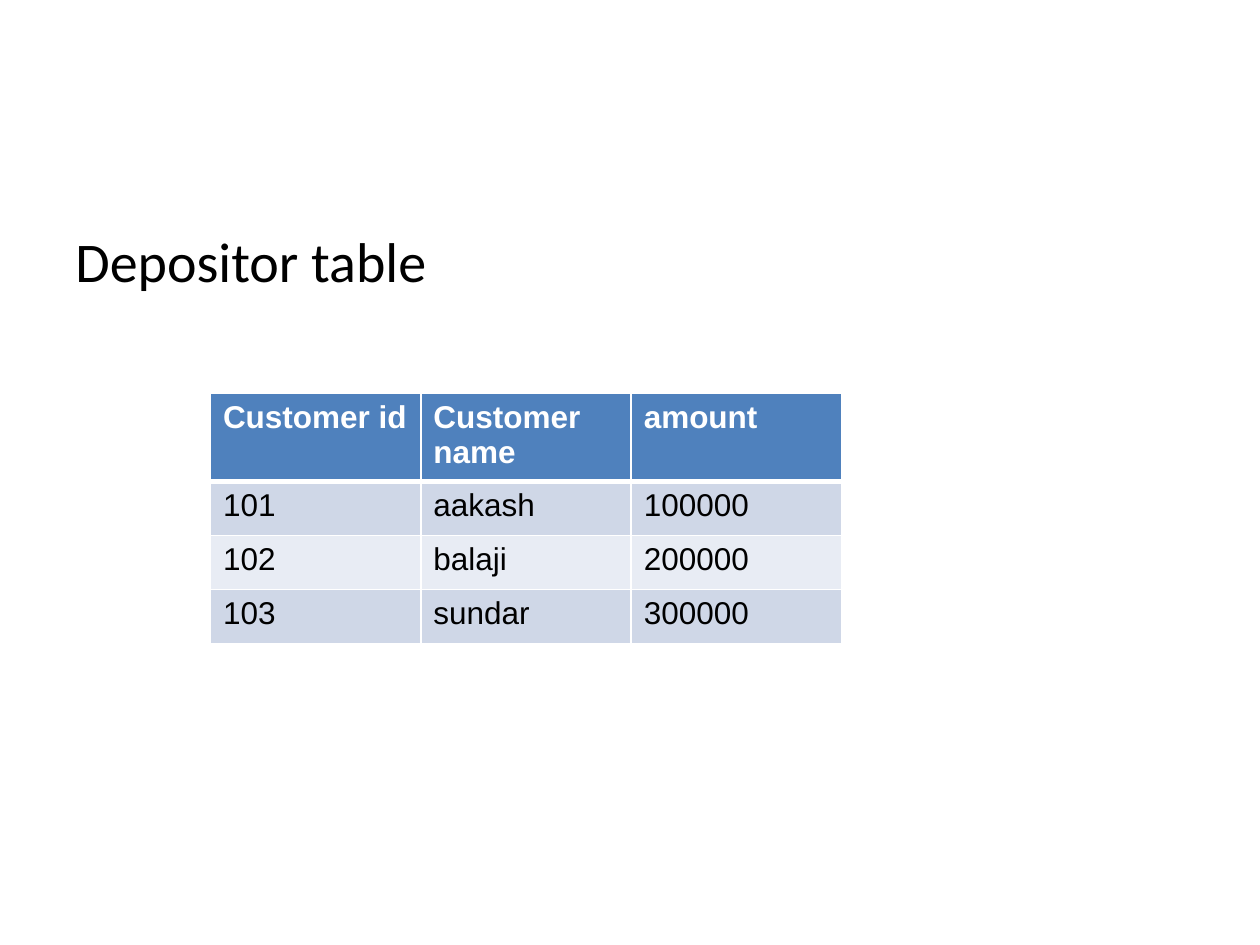
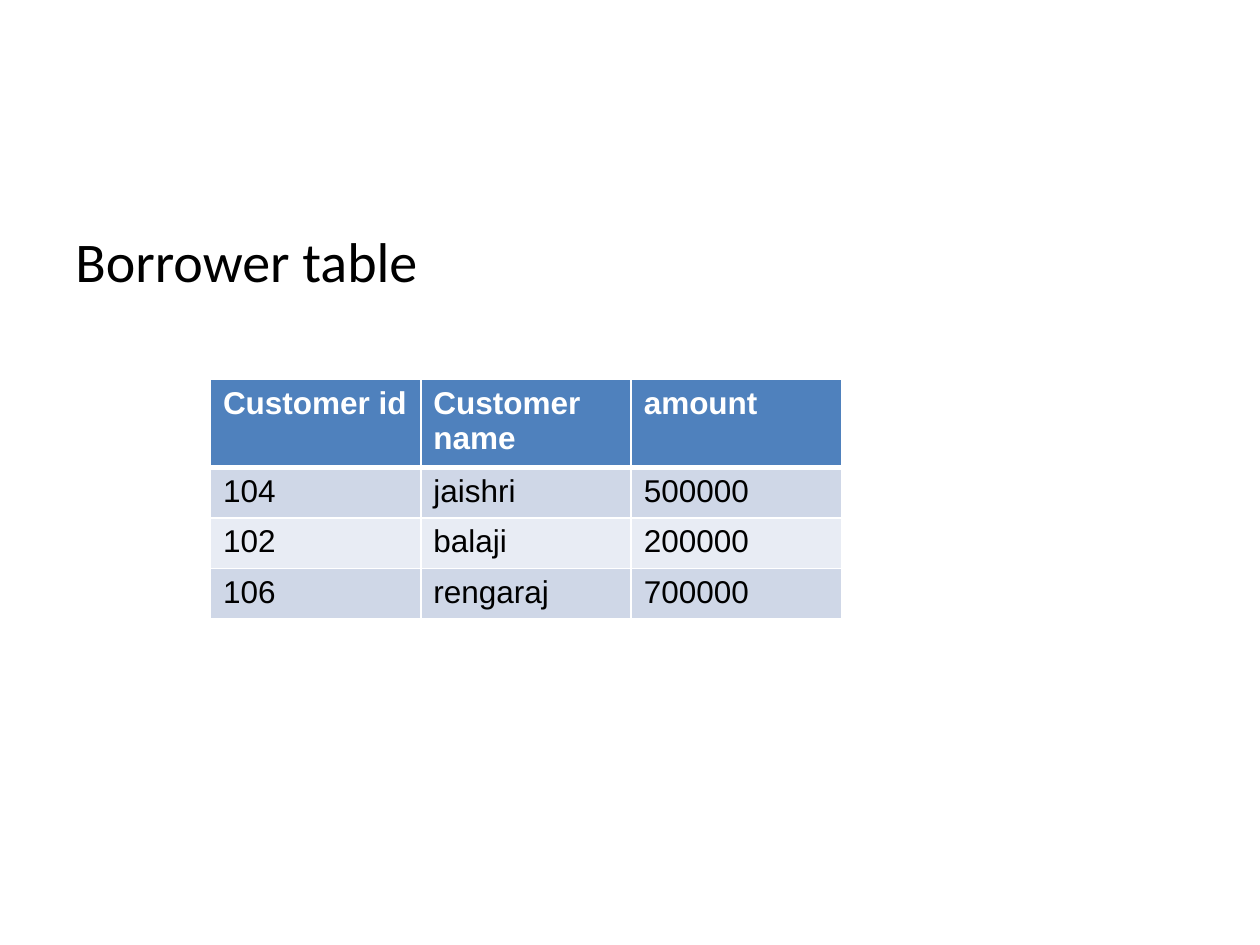
from lxml import etree
from pptx import Presentation
from pptx.dml.color import RGBColor
from pptx.oxml.ns import qn
from pptx.util import Inches, Pt

HEADER = ("Customer id", "Customer name", "amount")
SLIDES = [
    {
        "title": "Depositor table",
        "top": 3.12,
        "row_height": 0.43,
        "rows": [
            ("101", "aakash", "100000"),
            ("102", "balaji", "200000"),
            ("103", "sundar", "300000"),
        ],
    },
    {
        "title": "Borrower table",
        "top": 3.01,
        "row_height": 0.37,
        "rows": [
            ("104", "jaishri", "500000"),
            ("102", "balaji", "200000"),
            ("106", "rengaraj", "700000"),
        ],
    },
]

COLORS = {
    "text": "000000",
    "header": "4F81BD",
    "header_text": "FFFFFF",
    "band_odd": "CFD7E7",
    "band_even": "E8ECF4",
    "border": "FFFFFF",
}
TITLE_FONT, TABLE_FONT = "Calibri", "Arial"
TABLE_LEFT, COL_WIDTH = 1.67, 1.67
THIN, THICK = 1, 3


def style_font(font, name, size, color, bold=False):
    font.name = name
    font.size = Pt(size)
    font.bold = bold
    font.color.rgb = RGBColor.from_string(COLORS[color])


def add_title(s, title):
    tf = s.shapes.add_textbox(Inches(0.5), Inches(1.75), Inches(9), Inches(4.95)).text_frame
    tf.word_wrap = True
    tf.text = title
    p = tf.paragraphs[0]
    pPr = p._p.get_or_add_pPr()
    pPr.set("marL", str(Inches(0.38)))
    pPr.set("indent", str(Inches(-0.38)))
    style_font(p.runs[0].font, TITLE_FONT, 32, "text")


def set_borders(cell, top, bottom):
    tcPr = cell._tc.get_or_add_tcPr()
    widths = {"a:lnL": THIN, "a:lnR": THIN, "a:lnT": top, "a:lnB": bottom}
    for i, (tag, width) in enumerate(widths.items()):
        ln = etree.Element(qn(tag), w=str(Pt(width)))
        fill = etree.SubElement(ln, qn("a:solidFill"))
        etree.SubElement(fill, qn("a:srgbClr"), val=COLORS["border"])
        tcPr.insert(i, ln)


def style_cell(cell, text, row):
    is_header = row == 0
    cell.text = text
    color = "header_text" if is_header else "text"
    style_font(cell.text_frame.paragraphs[0].runs[0].font, TABLE_FONT, 18, color, is_header)
    band = "header" if is_header else "band_odd" if row % 2 else "band_even"
    cell.fill.solid()
    cell.fill.fore_color.rgb = RGBColor.from_string(COLORS[band])
    set_borders(cell, THICK if row == 1 else THIN, THICK if is_header else THIN)


def add_customer_table(s, top, row_height, rows):
    cells = [HEADER, *rows]
    table = s.shapes.add_table(
        len(cells), len(HEADER), Inches(TABLE_LEFT), Inches(top),
        Inches(COL_WIDTH * len(HEADER)), Inches(row_height * len(cells)),
    ).table
    for col in table.columns:
        col.width = Inches(COL_WIDTH)
    for r, values in enumerate(cells):
        table.rows[r].height = Inches(row_height)
        for c, text in enumerate(values):
            style_cell(table.cell(r, c), text, r)


def main():
    prs = Presentation()
    prs.slide_width, prs.slide_height = Inches(10), Inches(7.5)
    for content in SLIDES:
        s = prs.slides.add_slide(prs.slide_layouts[6])
        add_title(s, content["title"])
        add_customer_table(s, content["top"], content["row_height"], content["rows"])
    prs.save("out.pptx")


if __name__ == "__main__":
    main()
